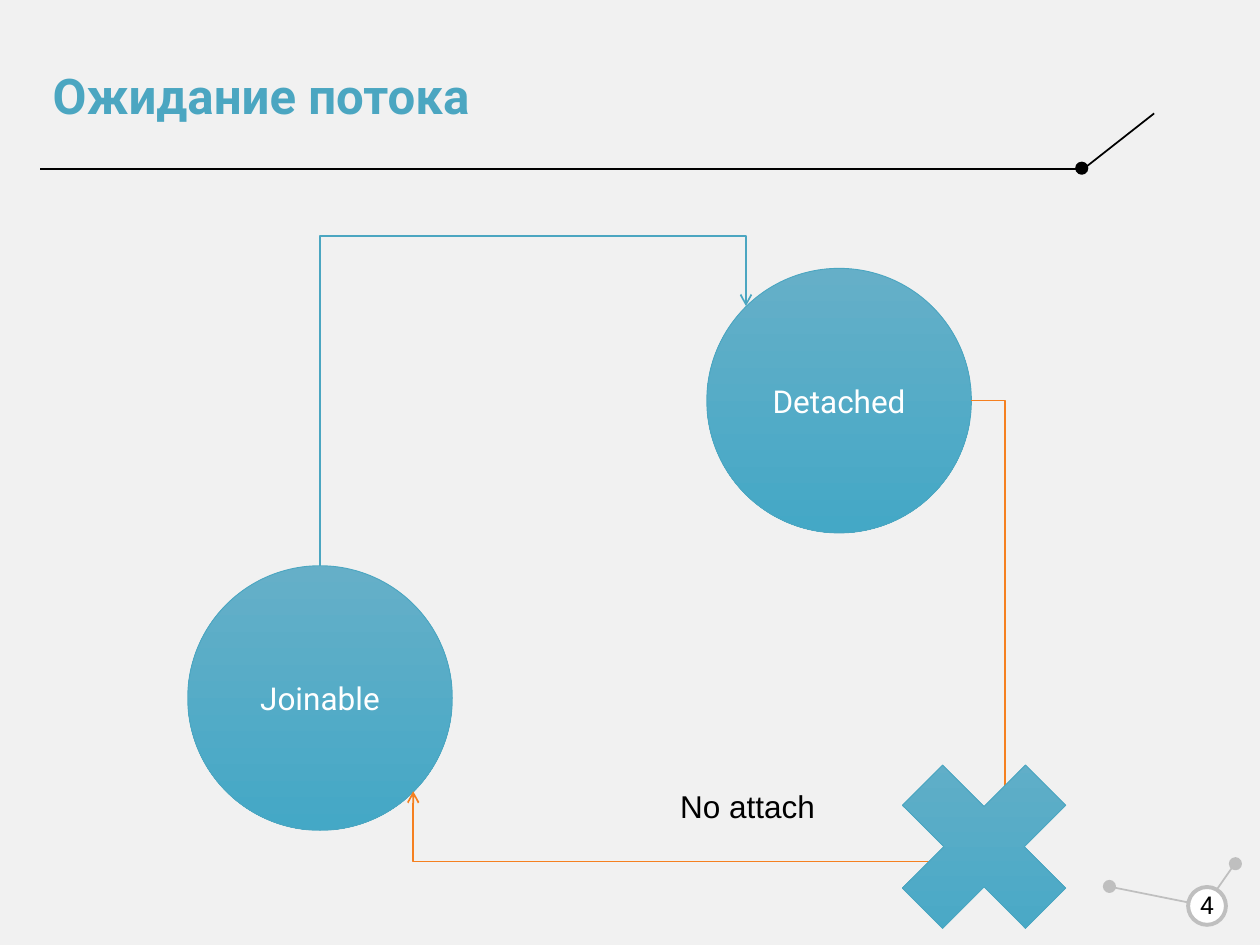
from lxml import etree
from pptx import Presentation
from pptx.dml.color import RGBColor
from pptx.enum.shapes import MSO_CONNECTOR, MSO_SHAPE
from pptx.enum.text import MSO_ANCHOR, PP_ALIGN
from pptx.oxml.ns import qn
from pptx.util import Inches, Pt

OVAL, CROSS = MSO_SHAPE.OVAL, MSO_SHAPE.MATH_MULTIPLY
STRAIGHT, ELBOW = MSO_CONNECTOR.STRAIGHT, MSO_CONNECTOR.ELBOW
LEFT, CENTER = PP_ALIGN.LEFT, PP_ALIGN.CENTER
TOP, MIDDLE = MSO_ANCHOR.TOP, MSO_ANCHOR.MIDDLE

COLORS = {
    "background": "F1F1F1",
    "black": "000000",
    "white": "FFFFFF",
    "gray": "BFBFBF",
    "accent": "4BA6C1",
    "gradient_top": "65AFC8",
    "gradient_bottom": "44A8C6",
    "orange": "F58020",
}


def rgb(name):
    return RGBColor.from_string(COLORS[name])


def write_text(frame, text, size=18, color="black", font="Roboto", bold=False,
               align=LEFT, anchor=MIDDLE):
    frame.word_wrap = True
    frame.vertical_anchor = anchor
    paragraph = frame.paragraphs[0]
    paragraph.alignment = align
    run = paragraph.add_run()
    run.text = text
    run.font.name = font
    run.font.size = Pt(size)
    run.font.bold = bold
    run.font.color.rgb = rgb(color)


class SlideBuilder:
    def __init__(self, slide):
        self.slide = slide
        self.shapes = slide.shapes
        fill = slide.background.fill
        fill.solid()
        fill.fore_color.rgb = rgb("background")

    def label(self, text, left, top, width, height, inset=True, **style):
        box = self.shapes.add_textbox(*map(Inches, (left, top, width, height)))
        frame = box.text_frame
        if not inset:
            frame.margin_left = frame.margin_right = 0
            frame.margin_top = frame.margin_bottom = 0
        write_text(frame, text, **style)

    def outlined(self, kind, left, top, size, line, weight):
        shape = self.shapes.add_shape(
            kind, *map(Inches, (left, top, size, size)))
        shape.shadow.inherit = False
        shape.line.color.rgb = rgb(line)
        shape.line.width = Pt(weight)
        return shape

    def dot(self, left, top, size=0.09, fill="gray", line="gray", weight=1):
        dot = self.outlined(OVAL, left, top, size, line, weight)
        dot.fill.solid()
        dot.fill.fore_color.rgb = rgb(fill)

    def gradient_shape(self, kind, left, top, size):
        shape = self.outlined(kind, left, top, size, "accent", 0.5)
        shape.fill.gradient()
        shape.fill.gradient_angle = 270
        for stop, name in zip(shape.fill.gradient_stops,
                              ("gradient_top", "gradient_bottom")):
            stop.color.rgb = rgb(name)
        return shape

    def state(self, text, left, top):
        circle = self.gradient_shape(OVAL, left, top, 2.1)
        write_text(circle.text_frame, text, color="white", align=CENTER)

    def line(self, start, end, color, kind=STRAIGHT):
        line = self.shapes.add_connector(kind, *map(Inches, (*start, *end)))
        line.line.color.rgb = rgb(color)
        line.line.width = Pt(1)
        etree.SubElement(line._element.spPr, qn("a:effectLst"))
        return line

    def bent_arrow(self, start, end, color, preset, bends, rotation=0):
        """Draw an elbow arrow; bends are fractions of its unrotated box."""
        arrow = self.line(start, end, color, ELBOW)
        properties = arrow._element.spPr
        properties.find(qn("a:xfrm")).set("rot", str(rotation * 60000))
        geometry = properties.find(qn("a:prstGeom"))
        geometry.set("prst", preset)
        guides = geometry.find(qn("a:avLst"))
        for number, bend in enumerate(bends, 1):
            name = "adj" if len(bends) == 1 else f"adj{number}"
            if preset == "bentConnector3":
                name = "adj1"
            etree.SubElement(guides, qn("a:gd"), name=name,
                             fmla=f"val {round(bend * 100000)}")
        etree.SubElement(properties.find(qn("a:ln")), qn("a:tailEnd"),
                         type="arrow")


def main():
    deck = Presentation()
    deck.slide_width, deck.slide_height = Inches(10), Inches(7.5)
    page = SlideBuilder(deck.slides.add_slide(deck.slide_layouts[6]))

    # Title rule and page-number ornament
    page.line((0.32, 1.34), (8.54, 1.34), "black")
    page.dot(8.54, 1.29, fill="black", line="black")
    page.line((8.6, 1.34), (9.16, 0.9), "black")
    page.dot(9.76, 6.81)
    page.line((9.79, 6.87), (9.65, 7.07), "gray")
    page.dot(8.76, 6.99)
    page.line((8.82, 7.04), (9.52, 7.18), "gray")
    page.dot(9.43, 7.04, size=0.3, fill="white", weight=2.25)

    page.label("Ожидание потока", 0.32, 0.28, 8.22, 0.95,
               size=28.1, color="accent", bold=True)
    page.label("4", 9.37, 6.98, 0.42, 0.4, inset=False, size=14, align=CENTER)

    # Thread states and transitions
    page.state("Joinable", 1.49, 4.49)
    page.state("Detached", 5.61, 2.13)
    page.bent_arrow((5.26, 5.15), (3.2, 1.77), "accent",
                    "bentConnector3", [1.27], rotation=90)
    page.bent_arrow((7.71, 3.18), (3.28, 6.28), "orange",
                    "bentConnector4", [-0.06, 1.18])
    no_return = page.gradient_shape(CROSS, 6.87, 5.78, 1.88)
    no_return.adjustments[0] = 0.24
    page.label("No attach", 5.3, 6.2, 1.27, 0.38, font="Arial", anchor=TOP)

    deck.save("out.pptx")


if __name__ == "__main__":
    main()
